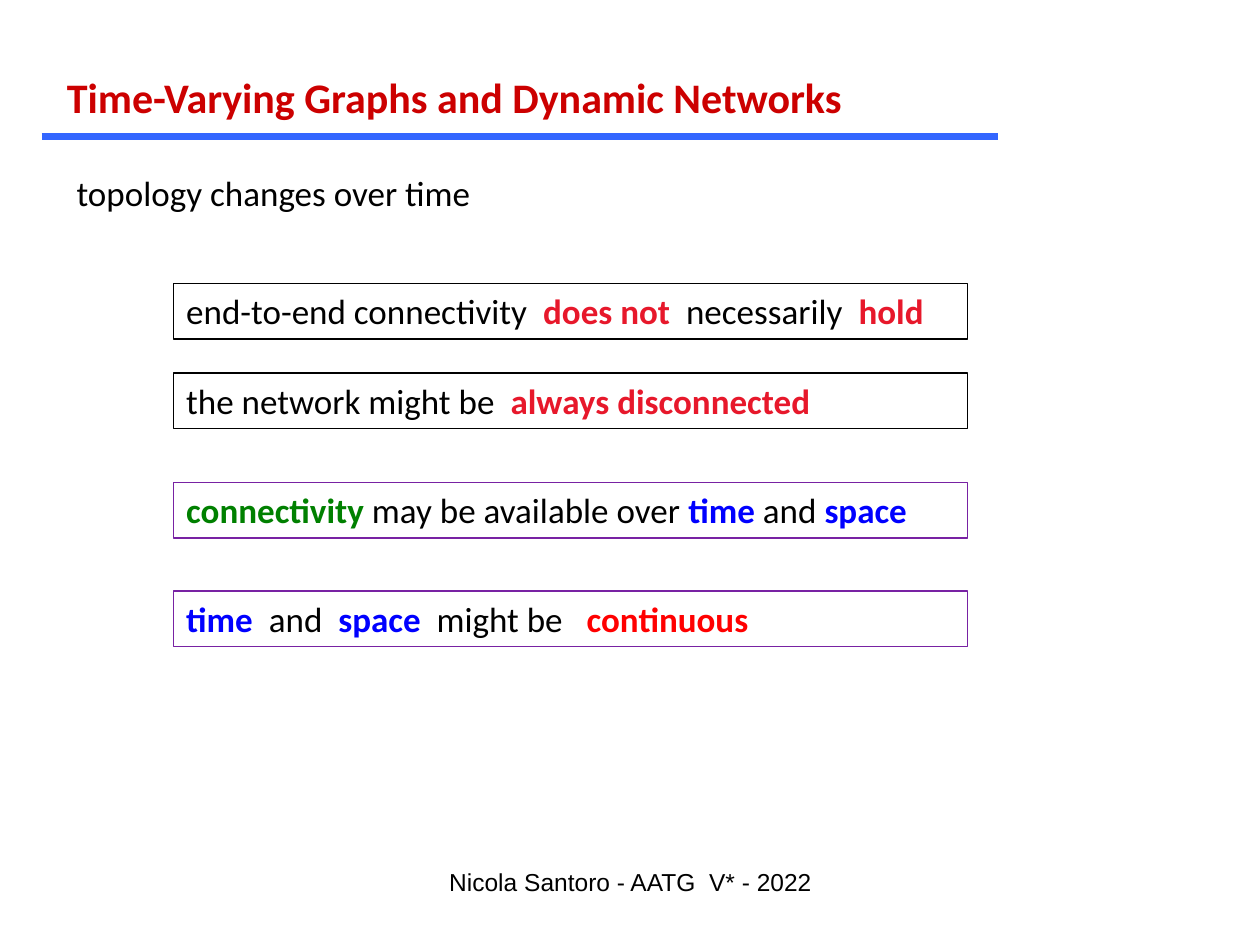
from lxml.etree import SubElement
from pptx import Presentation
from pptx.dml.color import RGBColor
from pptx.enum.shapes import MSO_CONNECTOR, MSO_SHAPE
from pptx.enum.text import MSO_ANCHOR, MSO_AUTO_SIZE, PP_ALIGN
from pptx.oxml.ns import qn
from pptx.util import Inches, Pt

BLACK, CRIMSON, RED = "000000", "E7182B", "FF0000"
GREEN, BLUE, PURPLE = "008000", "0000FF", "7822A3"

TITLE = "Time-Varying Graphs and Dynamic Networks"
TOPIC = "topology changes over time"
FOOTER = "Nicola Santoro - AATG  V* - 2022"
STATEMENTS = [
    (2.25, BLACK, [("end-to-end connectivity  ", BLACK), ("does not  ", CRIMSON),
                   ("necessarily  ", BLACK), ("hold", CRIMSON)]),
    (2.96, BLACK, [("the network might be  ", BLACK), ("always disconnected", CRIMSON)]),
    (3.83, PURPLE, [("connectivity ", GREEN), ("may be available over ", BLACK),
                    ("time", BLUE), (" and ", BLACK), ("space", BLUE)]),
    (4.69, PURPLE, [("time  ", BLUE), ("and  ", BLACK), ("space", BLUE),
                    ("  might be   ", BLACK), ("continuous", RED)]),
]
STATEMENT_LEFT, STATEMENT_WIDTH, ROW_HEIGHT = 1.38, 6.3, 0.44
RULE_LEFT, RULE_RIGHT, RULE_TOP = 0.33, 7.92, 1.08


def colour(hex_text):
    return RGBColor.from_string(hex_text)


def write(holder, pieces, size=20, font="Calibri", align=PP_ALIGN.LEFT, wrap=True):
    """Fill a shape with (text, colour) pieces; every colour but black is bold."""
    frame = holder.text_frame
    frame.auto_size = MSO_AUTO_SIZE.NONE
    frame.word_wrap = wrap
    frame.vertical_anchor = MSO_ANCHOR.TOP
    paragraph = frame.paragraphs[0]
    paragraph.alignment = align
    for text, ink in pieces:
        run = paragraph.add_run()
        run.text = text
        run.font.name = font
        run.font.size = Pt(size)
        run.font.bold = ink != BLACK
        run.font.color.rgb = colour(ink)


def main():
    deck = Presentation()
    deck.slide_width, deck.slide_height = Inches(10), Inches(7.5)
    slide = deck.slides.add_slide(deck.slide_layouts[5])
    shapes = slide.shapes

    title = shapes.title
    title.left, title.top = Inches(0.43), Inches(0.52)
    title.width, title.height = Inches(6.46), Inches(0.5)
    write(title, [(TITLE, "CC0000")], size=24, wrap=False)

    rule = shapes.add_connector(MSO_CONNECTOR.STRAIGHT, Inches(RULE_LEFT), Inches(RULE_TOP),
                                Inches(RULE_RIGHT), Inches(RULE_TOP))
    rule.line.color.rgb = colour("3366FF")
    rule.line.width = Pt(4)
    SubElement(rule.element.spPr, qn("a:effectLst"))

    topic = shapes.add_textbox(Inches(0.51), Inches(1.31), Inches(3.54), Inches(ROW_HEIGHT))
    write(topic, [(TOPIC, BLACK)])

    for top, border, pieces in STATEMENTS:
        statement = shapes.add_shape(MSO_SHAPE.RECTANGLE, Inches(STATEMENT_LEFT), Inches(top),
                                     Inches(STATEMENT_WIDTH), Inches(ROW_HEIGHT))
        statement.shadow.inherit = False
        statement.fill.background()
        statement.line.color.rgb = colour(border)
        statement.line.width = Pt(0.75)
        write(statement, pieces)

    footer = shapes.add_textbox(Inches(3.42), Inches(6.83), Inches(3.17), Inches(0.5))
    write(footer, [(FOOTER, BLACK)], size=14, font="Arial", align=PP_ALIGN.CENTER)

    deck.save("out.pptx")


if __name__ == "__main__":
    main()
